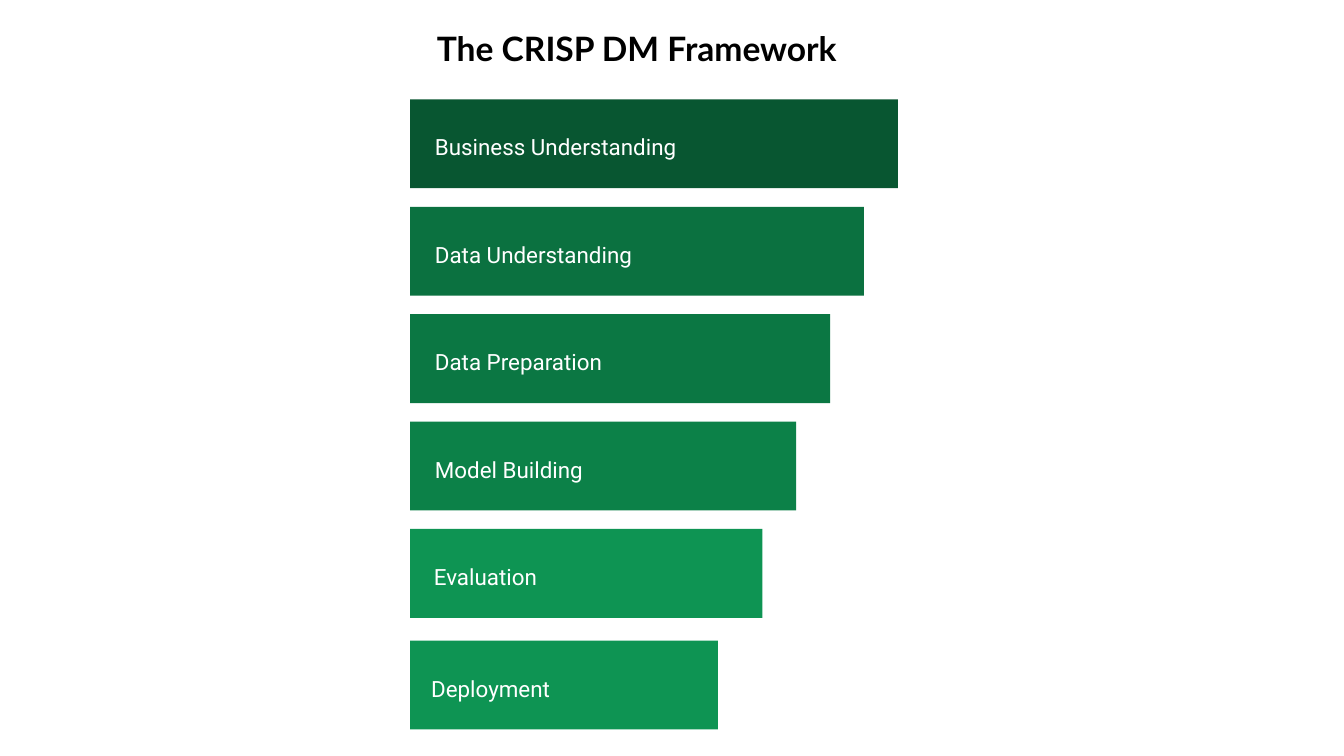
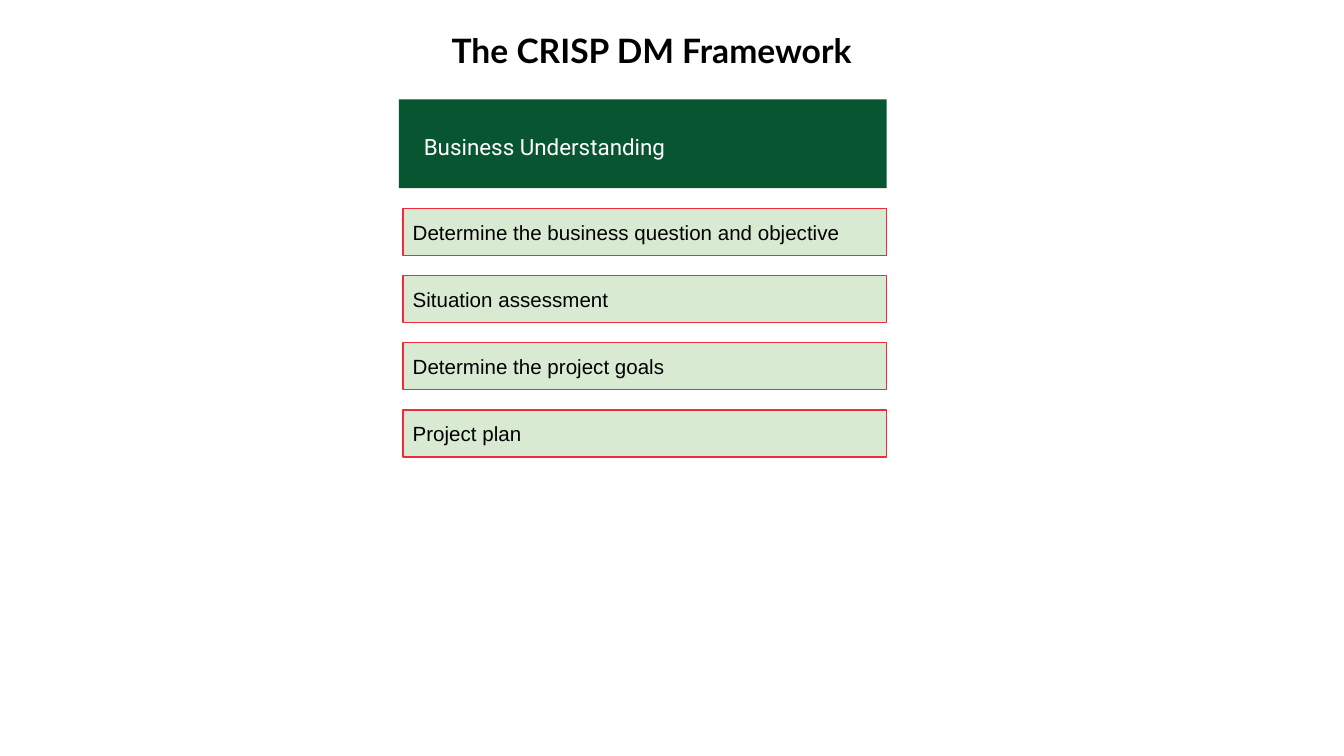
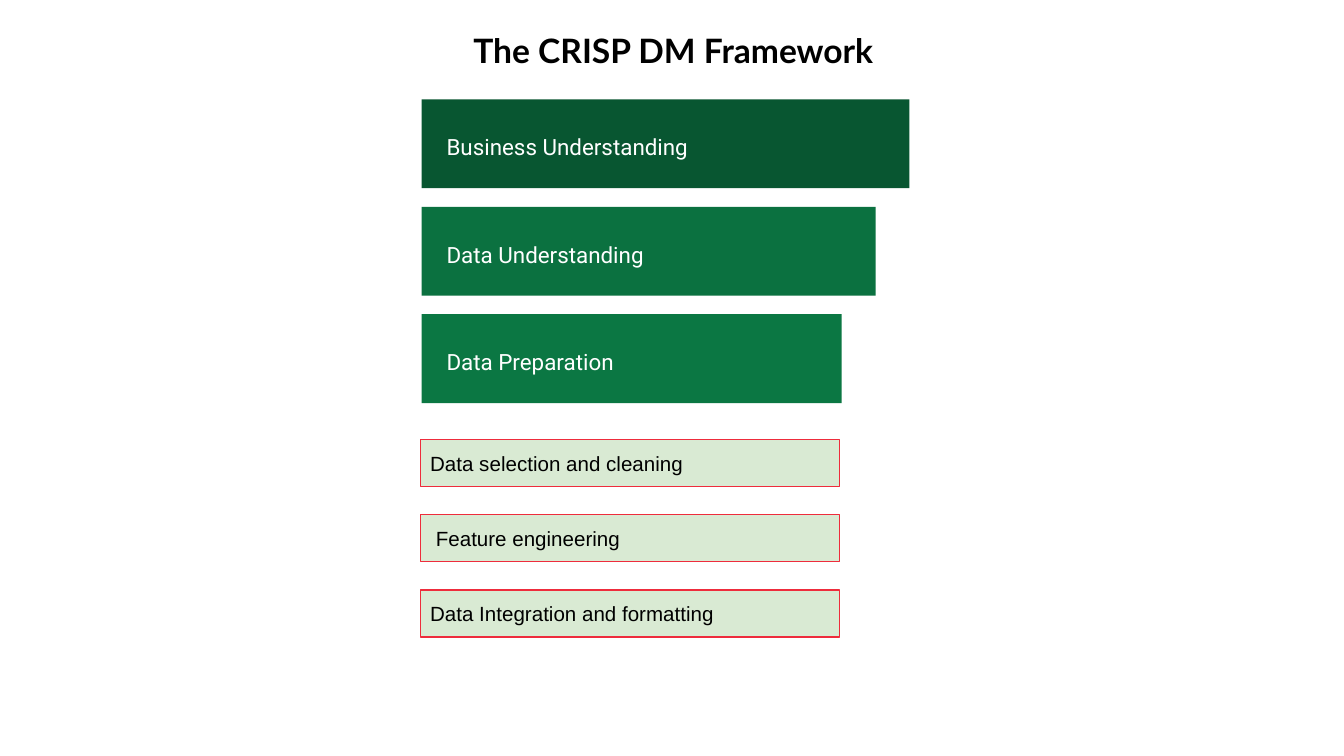
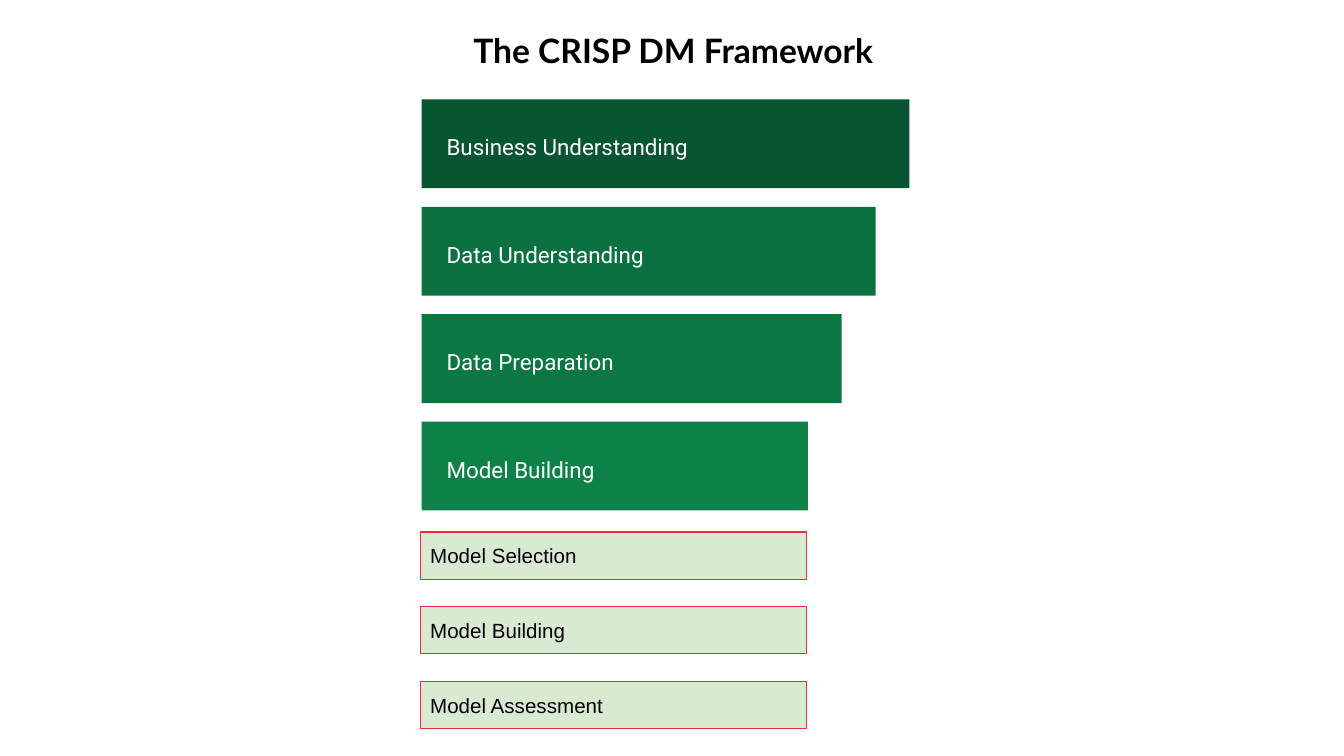
from collections import namedtuple

from pptx import Presentation
from pptx.dml.color import RGBColor
from pptx.enum.shapes import MSO_SHAPE
from pptx.enum.text import MSO_ANCHOR, PP_ALIGN
from pptx.util import Cm, Pt

BLACK, WHITE = "000000", "FFFFFF"
TASK_FILL, TASK_LINE = "D9EAD3", "EE2C3C"
TITLE = "The CRISP DM Framework"
BAR_TOP, BAR_HEIGHT, BAR_PITCH = 1.88, 1.68, 2.03
LABEL_HEIGHT = 0.76
TASK_HEIGHT = 0.89

Box = namedtuple("Box", "left top width height")
Phase = namedtuple("Phase", "name width color label_inset label_width drop", defaults=[0])
TaskList = namedtuple("TaskList", "left top width pitch names")
Layout = namedtuple("Layout", "title_left title_top bar_left phase_count tasks")

PHASES = [
    Phase("Business Understanding", 9.22, "085631", 0.22, 8.41),
    Phase("Data Understanding", 8.58, "0B7140", 0.22, 7.72),
    Phase("Data Preparation", 7.94, "0B7743", 0.22, 6.78),
    Phase("Model Building", 7.3, "0C8148", 0.22, 6.78),
    Phase("Evaluation", 6.66, "0E9453", 0.2, 6.17),
    Phase("Deployment", 5.82, "0E9453", 0.15, 6.17, 0.08),
]

LAYOUTS = [
    Layout(7.59, 0.43, 7.75, 6, None),
    Layout(7.87, 0.46, 7.54, 1, TaskList(7.62, 3.94, 9.14, 1.27, [
        "Determine the business question and objective",
        "Situation assessment",
        "Determine the project goals",
        "Project plan",
    ])),
    Layout(8.28, 0.46, 7.97, 3, TaskList(7.95, 8.31, 7.92, 1.42, [
        "Data selection and cleaning",
        " Feature engineering",
        "Data Integration and formatting",
    ])),
    Layout(8.28, 0.46, 7.97, 4, TaskList(7.95, 10.06, 7.29, 1.41, [
        "Model Selection",
        "Model Building",
        "Model Assessment",
    ])),
]


def rgb(value):
    """Turn a hex string into a colour."""
    return RGBColor.from_string(value)


def lengths(box):
    """Give the box as four lengths."""
    return [Cm(value) for value in box]


def add_rectangle(shapes, box, fill, line=None):
    """Add a flat rectangle, outlined when a line colour is given."""
    rectangle = shapes.add_shape(MSO_SHAPE.RECTANGLE, *lengths(box))
    rectangle.shadow.inherit = False
    rectangle.fill.solid()
    rectangle.fill.fore_color.rgb = rgb(fill)
    if line:
        rectangle.line.color.rgb = rgb(line)
        rectangle.line.width = Pt(0.75)
    else:
        rectangle.line.fill.background()
    return rectangle


def write(shape, text, font, size, color, insets, anchor=MSO_ANCHOR.MIDDLE):
    """Write one left-aligned paragraph into a shape and return it."""
    frame = shape.text_frame
    frame.word_wrap = True
    frame.vertical_anchor = anchor
    frame.margin_left = frame.margin_right = Cm(insets[0])
    frame.margin_top = frame.margin_bottom = Cm(insets[1])
    paragraph = frame.paragraphs[0]
    paragraph.text = text
    paragraph.alignment = PP_ALIGN.LEFT
    paragraph.font.name = font
    paragraph.font.size = Pt(size)
    paragraph.font.color.rgb = rgb(color)
    return paragraph


def add_title(page, box):
    """Add the bold centred heading."""
    heading = page.shapes.add_textbox(*lengths(box))
    paragraph = write(heading, TITLE, "Lato", 18, BLACK, (0.18, 0.1), MSO_ANCHOR.TOP)
    paragraph.alignment = PP_ALIGN.CENTER
    paragraph.font.bold = True


def add_phase(page, phase, box):
    """Add a group of one phase bar and its label."""
    group = page.shapes.add_group_shape()
    add_rectangle(group.shapes, box, phase.color)
    label_box = Box(box.left + phase.label_inset,
                    box.top + (box.height - LABEL_HEIGHT) / 2 + 0.02,
                    phase.label_width, LABEL_HEIGHT)
    label = group.shapes.add_textbox(*lengths(label_box))
    paragraph = write(label, phase.name, "Roboto", 12, WHITE, (0.25, 0.13))
    paragraph.line_spacing = 1.15


def add_phases(page, left, count):
    """Stack the first phases down from the heading."""
    for index, phase in enumerate(PHASES[:count]):
        top = BAR_TOP + index * BAR_PITCH + phase.drop
        add_phase(page, phase, Box(left, top, phase.width, BAR_HEIGHT))


def add_tasks(page, tasks):
    """Stack the outlined tasks of the latest phase."""
    for index, name in enumerate(tasks.names):
        box = Box(tasks.left, tasks.top + index * tasks.pitch, tasks.width, TASK_HEIGHT)
        task = add_rectangle(page.shapes, box, TASK_FILL, TASK_LINE)
        write(task, name, "Arial", 11, BLACK, (0.18, 0.18))


def add_page(deck, layout):
    """Add one framework slide."""
    page = deck.slides.add_slide(deck.slide_layouts[6])
    add_title(page, Box(layout.title_left, layout.title_top, 8.89, 1.09))
    add_phases(page, layout.bar_left, layout.phase_count)
    if layout.tasks:
        add_tasks(page, layout.tasks)


def main():
    """Build and save the deck."""
    deck = Presentation()
    deck.slide_width, deck.slide_height = Cm(25.4), Cm(14.29)
    for layout in LAYOUTS:
        add_page(deck, layout)
    deck.save("out.pptx")


if __name__ == "__main__":
    main()
